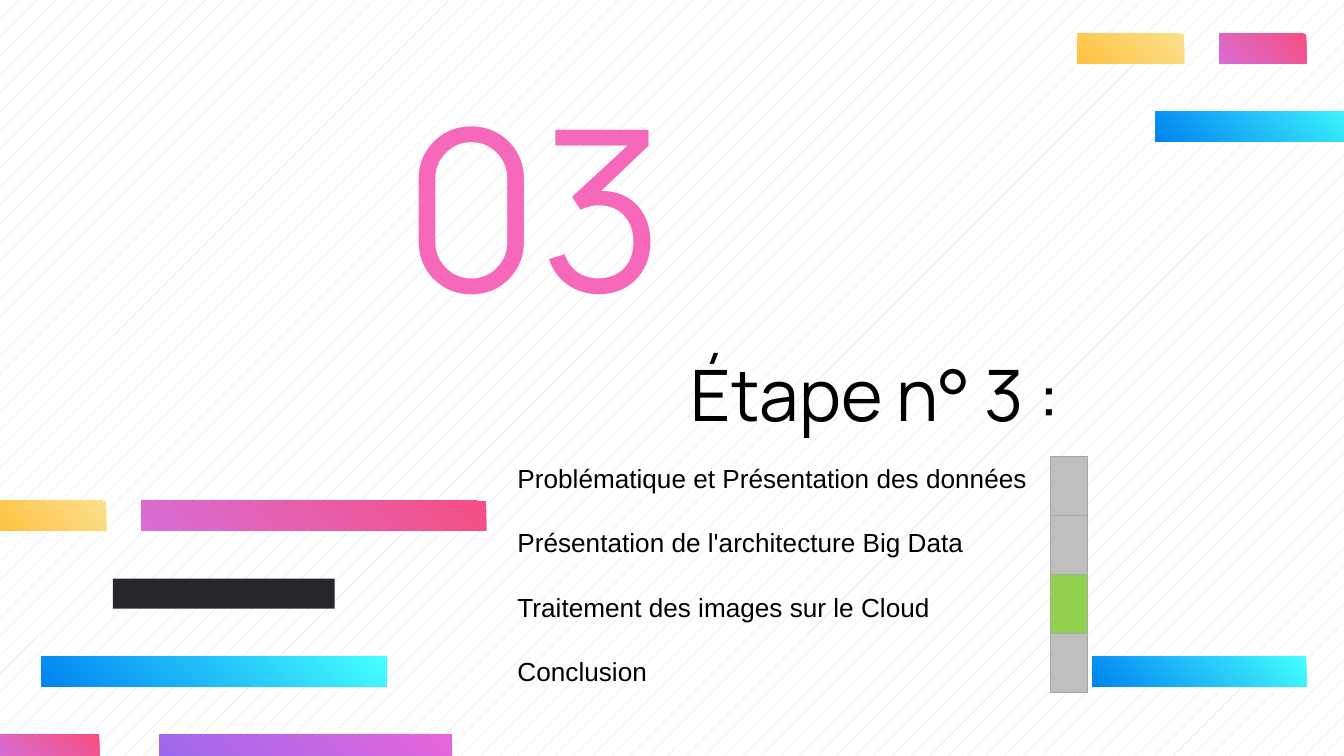
from dataclasses import dataclass

from pptx import Presentation
from pptx.dml.color import RGBColor
from pptx.enum.dml import MSO_PATTERN as Pattern
from pptx.enum.shapes import MSO_SHAPE as Preset
from pptx.enum.text import MSO_ANCHOR as Anchor, MSO_AUTO_SIZE as AutoSize, PP_ALIGN as Align
from pptx.util import Inches, Pt

COLUMNS, ROWS = 100, 56.25
CELL = Inches(10) / COLUMNS
BAR_HEIGHT = 2.25
TOP_ROW, LOWER_ROW, ROW_STEP = 2.5, 37.25, 5.8

PINK = ("F64E81", "D86ED5")
BLUE = ("45FFFF", "0083F1")
YELLOW = ("FAE08F", "FFC241")
PURPLE = ("E766DB", "9B68ED")
DARK = ("25272D",)
GREY, GREEN, OUTLINE = "BFBFBF", "92D050", "A6A6A6"

AGENDA = (
    "Problématique et Présentation des données",
    "Présentation de l'architecture Big Data",
    "Traitement des images sur le Cloud",
    "Conclusion",
)
CURRENT_STEP = 2


@dataclass(frozen=True)
class Area:
    column: float
    row: float
    columns: float
    rows: float

    def lengths(self) -> tuple[int, ...]:
        return tuple(grid(n) for n in (self.column, self.row, self.columns, self.rows))


@dataclass(frozen=True)
class Bar:
    column: float
    row: float
    columns: float
    colors: tuple[str, ...]


@dataclass(frozen=True)
class Style:
    font: str
    size: float
    color: str
    align: Align = Align.LEFT
    gap: float = 0


def grid(cells: float) -> int:
    return round(cells * CELL)


def rgb(code: str) -> RGBColor:
    return RGBColor.from_string(code)


def add_rectangle(page, area: Area):
    box = page.shapes.add_shape(Preset.RECTANGLE, *area.lengths())
    box.shadow.inherit = False
    return box


def add_bar(page, bar: Bar) -> None:
    box = add_rectangle(page, Area(bar.column, bar.row, bar.columns, BAR_HEIGHT))
    box.line.fill.background()
    if len(bar.colors) == 1:
        box.fill.solid()
        box.fill.fore_color.rgb = rgb(bar.colors[0])
        return
    box.fill.gradient()
    box.fill.gradient_angle = 225
    for stop, code in zip(box.fill.gradient_stops, bar.colors):
        stop.color.rgb = rgb(code)


def add_step(page, area: Area, color: str) -> None:
    box = add_rectangle(page, area)
    box.fill.solid()
    box.fill.fore_color.rgb = rgb(color)
    box.line.color.rgb = rgb(OUTLINE)
    box.line.width = Pt(0.5)


def place(box, area: Area, anchor: Anchor, insets: tuple[float, float, float]) -> None:
    box.left, box.top, box.width, box.height = area.lengths()
    frame = box.text_frame
    frame.word_wrap = True
    frame.auto_size = AutoSize.NONE
    frame.vertical_anchor = anchor
    side, frame.margin_top, frame.margin_bottom = (grid(n) for n in insets)
    frame.margin_left = frame.margin_right = side


def write(box, lines: tuple[str, ...], style: Style) -> None:
    frame = box.text_frame
    for index, line in enumerate(lines):
        para = frame.add_paragraph() if index else frame.paragraphs[0]
        para.alignment = style.align
        para.line_spacing = 1.0
        para.space_before = Pt(style.gap if index else 0)
        para.space_after = Pt(0)
        span = para.add_run()
        span.text = line
        span.font.name = style.font
        span.font.size = Pt(style.size)
        span.font.color.rgb = rgb(style.color)


def main() -> None:
    deck = Presentation()
    deck.slide_width, deck.slide_height = grid(COLUMNS), grid(ROWS)
    page = deck.slides.add_slide(deck.slide_layouts[0])

    backdrop = page.background.fill
    backdrop.patterned()
    backdrop.pattern = Pattern.PERCENT_5
    backdrop.fore_color.rgb = rgb("D9D9D9")
    backdrop.back_color.rgb = rgb("FFFFFF")

    lower = [LOWER_ROW + ROW_STEP * n for n in range(4)]
    bars = (
        Bar(10.5, lower[0], 25.7, PINK),
        Bar(3.1, lower[2], 25.7, BLUE),
        Bar(0, lower[3], 7.4, PINK),
        Bar(8.4, lower[1], 16.5, DARK),
        Bar(0, lower[0], 7.9, YELLOW),
        Bar(11.9, lower[3], 21.75, PURPLE),
        Bar(90.7, TOP_ROW, 6.5, PINK),
        Bar(86, TOP_ROW + ROW_STEP, 15.9, BLUE),
        Bar(80.2, TOP_ROW, 7.9, YELLOW),
        Bar(81.3, lower[2], 15.9, BLUE),
    )
    for bar in bars:
        add_bar(page, bar)

    title = page.shapes.title
    place(title, Area(50.4, 11.1, 48.7, 28.1), Anchor.BOTTOM, (1, 1, 6.8))
    write(title, ("Étape n° 3 :",), Style("Manrope", 38, "000000"))

    number = page.shapes.add_textbox(0, 0, 0, 0)
    place(number, Area(18.6, 5, 31.8, 19.5), Anchor.TOP, (1, 0, 0))
    write(number, ("03",), Style("Manrope", 120, "F668B9", Align.RIGHT))

    agenda = Area(37.5, 34, 40.8, 17.5)
    step_rows = agenda.rows / len(AGENDA)
    for index in range(len(AGENDA)):
        area = Area(78.2, agenda.row + step_rows * index, 2.7, step_rows)
        add_step(page, area, GREEN if index == CURRENT_STEP else GREY)

    topics = page.placeholders[1]
    place(topics, agenda, Anchor.MIDDLE, (1, 0.5, 0.5))
    write(topics, AGENDA, Style("Arial", 14, "000000", gap=17.5))

    deck.save("out.pptx")


if __name__ == "__main__":
    main()
